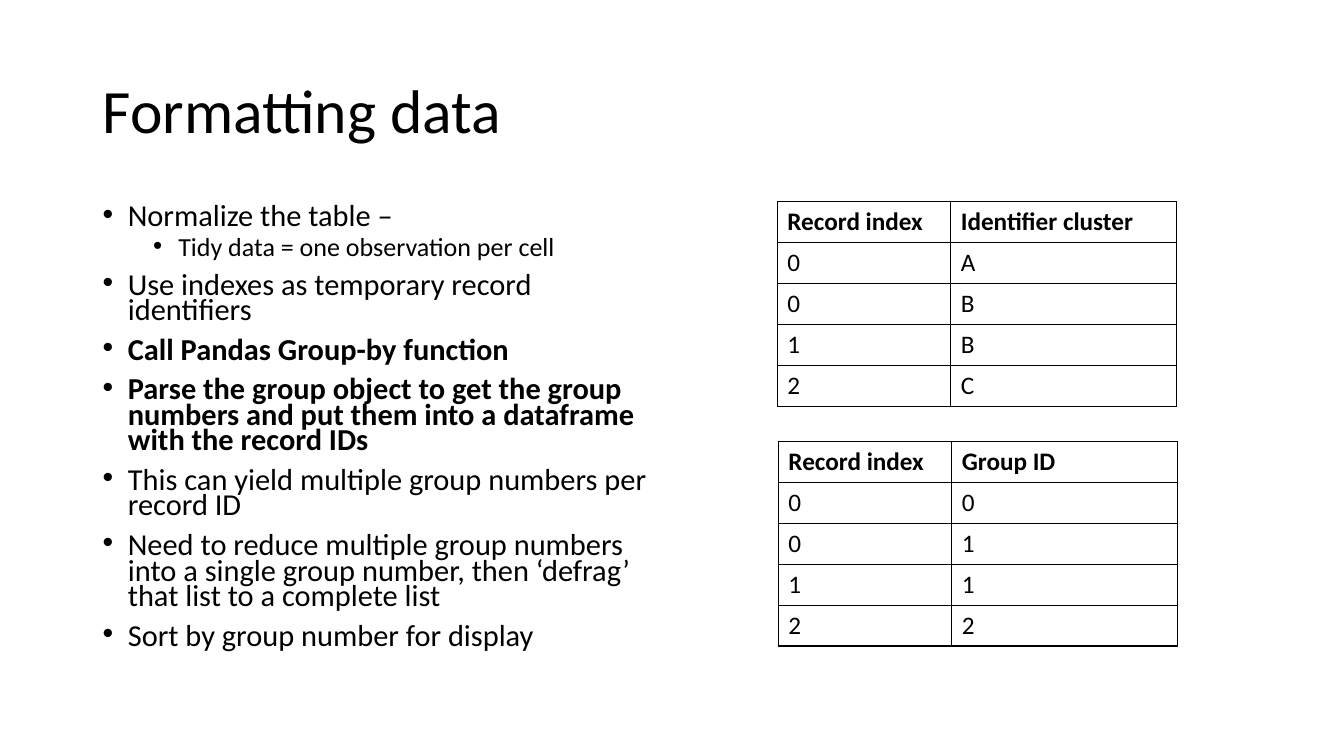
import pptx
import pptx.util
import pptx.dml.color
import pptx.enum.text
from lxml import etree

Inches, Pt = pptx.util.Inches, pptx.util.Pt
INK = "000000"


def colour(hex_string):
    return pptx.dml.color.RGBColor.from_string(hex_string)


def set_font(font, size, bold=False):
    for name, value in {"name": "Calibri", "size": Pt(size), "bold": bold}.items():
        setattr(font, name, value)
    font.color.rgb = colour(INK)


deck = pptx.Presentation()
deck.slide_width, deck.slide_height = Inches(13.33), Inches(7.5)
slide = deck.slides.add_slide(deck.slide_layouts[6])

# Page grid
left_edge, content_top = Inches(0.92), Inches(2)

# Title
heading = slide.shapes.add_textbox(left_edge, Inches(0.4), Inches(11.5), Inches(1.45)).text_frame
heading.word_wrap = True
heading.vertical_anchor = pptx.enum.text.MSO_ANCHOR.MIDDLE
heading.text = "Formatting data"
heading.paragraphs[0].line_spacing = 0.9
set_font(heading.paragraphs[0].font, 44)

# Steps: level, bold, wording
steps = [
    (0, False, "Normalize the table –"),
    (1, False, "Tidy data = one observation per cell"),
    (0, False, "Use indexes as temporary record identifiers"),
    (0, True, "Call Pandas Group-by function"),
    (0, True, "Parse the group object to get the group numbers and put them "
              "into a dataframe with the record IDs"),
    (0, False, "This can yield multiple group numbers per record ID"),
    (0, False, "Need to reduce multiple group numbers into a single group number, "
               "then ‘defrag’ that list to a complete list"),
    (0, False, "Sort by group number for display"),
]
step_list = slide.shapes.add_textbox(left_edge, content_top, Inches(5.67), Inches(4.76)).text_frame
step_list.word_wrap = True
for position, (level, bold, wording) in enumerate(steps):
    step = step_list.add_paragraph() if position else step_list.paragraphs[0]
    step.text = wording
    step.level = level
    step.line_spacing = 0.7
    step.space_before = Pt((10, 5)[level] if position else 0)
    properties = step._p.get_or_add_pPr()
    properties.set("marL", str(Inches(0.25 + 0.5 * level)))
    properties.set("indent", str(-Inches(0.25)))
    bullet_font = etree.SubElement(properties, pptx.oxml.ns.qn("a:buFont"))
    bullet_font.set("typeface", "Arial")
    etree.SubElement(properties, pptx.oxml.ns.qn("a:buChar")).set("char", "•")
    set_font(step.font, (21.7, 18.6)[level], bold)

# Record tables: left, top, rows
column_widths = [Inches(1.72), Inches(2.24)]
row_height = Inches(2.03 / 5)
record_tables = [
    (Inches(7.71), content_top,
     [("Record index", "Identifier cluster"), "0A", "0B", "1B", "2C"]),
    (Inches(7.72), Inches(4.38),
     [("Record index", "Group ID"), "00", "01", "11", "22"]),
]
for left, top, records in record_tables:
    grid = slide.shapes.add_table(len(records), len(column_widths), left, top,
                                  sum(column_widths), row_height * len(records)).table
    grid.first_row = grid.horz_banding = False
    for column, width in zip(grid.columns, column_widths):
        column.width = width
    for row_index, record in enumerate(records):
        grid.rows[row_index].height = row_height
        for column_index, value in enumerate(record):
            cell = grid.cell(row_index, column_index)
            cell.text = value
            set_font(cell.text_frame.paragraphs[0].font, 18, row_index == 0)
            # Borders come before the fill in the cell properties
            cell_properties = cell._tc.get_or_add_tcPr()
            for side in ("lnL", "lnR", "lnT", "lnB"):
                border = etree.SubElement(cell_properties, pptx.oxml.ns.qn("a:" + side))
                border.set("w", str(Pt(1)))
                line_fill = etree.SubElement(border, pptx.oxml.ns.qn("a:solidFill"))
                etree.SubElement(line_fill, pptx.oxml.ns.qn("a:srgbClr")).set("val", INK)
            cell.fill.background()

deck.save("out.pptx")
